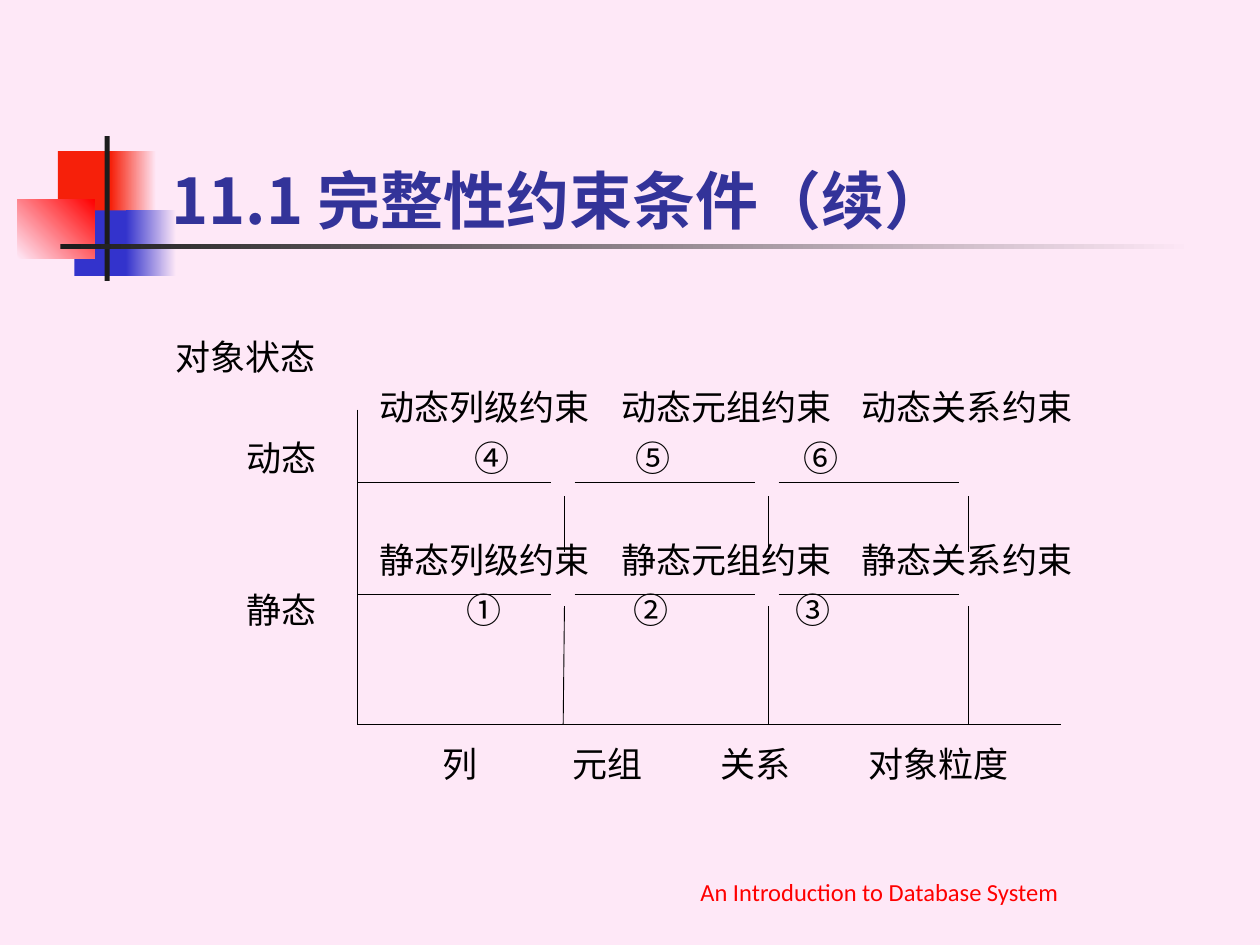
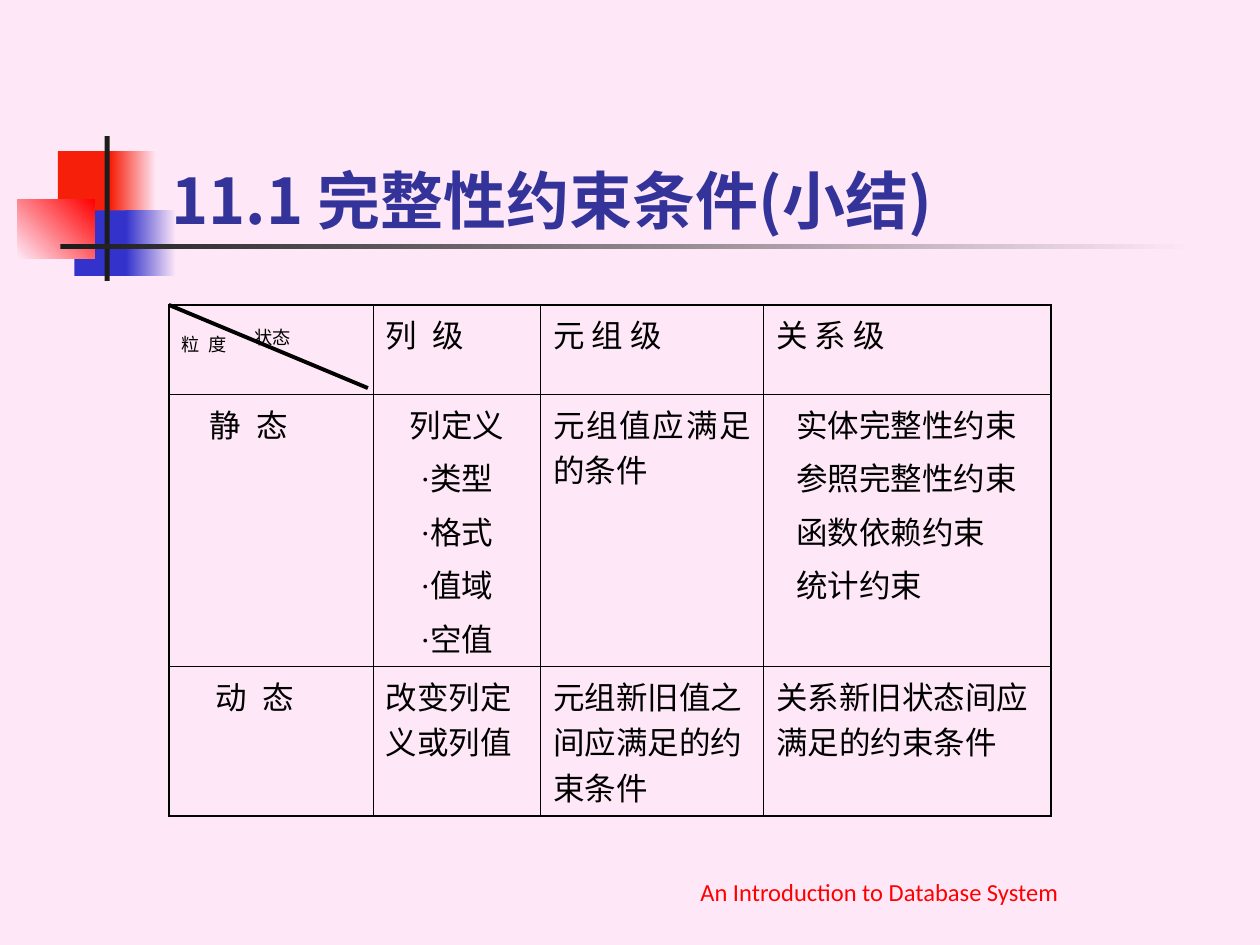
from dataclasses import dataclass
from typing import NamedTuple

from lxml.etree import SubElement as Sub
from pptx import Presentation
from pptx.dml.color import RGBColor as RGB
from pptx.enum.shapes import MSO_CONNECTOR as Conn, MSO_SHAPE as Kind
from pptx.enum.text import MSO_ANCHOR as Anchor, MSO_AUTO_SIZE as Auto, PP_ALIGN as Align
from pptx.oxml import parse_xml
from pptx.oxml.ns import nsdecls, qn
from pptx.util import Inches, Pt


@dataclass(frozen=True)
class Theme:
    """Colours, fonts and type sizes of the deck."""
    back: str = "FEE8F7"
    ink: str = "000000"
    dark: str = "1C1C1C"
    head: str = "333399"
    red: str = "F6200A"
    blue: str = "3333CC"
    pure: str = "FF0000"
    latin: str = "Karla"
    asian: str = "Noto Sans CJK SC"
    serif: str = "Times New Roman"
    foot: str = "Calibri"
    title_pt: float = 36
    body_pt: float = 20
    cell_pt: float = 18
    foot_pt: float = 14
    gap_pt: float = 4.5
    thin_pt: float = 0.5
    axis_pt: float = 0.75
    edge_pt: float = 1.08
    slash_pt: float = 2.25


T = Theme()


class Band(NamedTuple):
    """One block of the corner ornament; a second colour makes it fade."""
    box: tuple[float, float, float, float]
    start: str
    end: str = ""
    angle: float = 0


class Row(NamedTuple):
    """One line of the chart text, with tab stops and the gap above it."""
    text: str
    tabs: tuple[float, ...] = ()
    gap: float = 5


class Cell(NamedTuple):
    """Paragraphs of a table cell and how they are set."""
    lines: tuple[str, ...]
    align: Align = Align.LEFT
    indent: float = 0


BANDS = (
    Band((0.46, 1.2, 0.48, 0.52), T.red),
    Band((0.88, 1.2, 0.36, 0.52), T.red, T.back),
    Band((0.59, 1.67, 0.46, 0.52), T.blue),
    Band((1, 1.67, 0.4, 0.52), T.blue, T.back),
    Band((0.14, 1.58, 0.61, 0.47), T.back, T.pure, 45),
    Band((0.83, 1.08, 0.04, 1.15), T.dark),
    Band((0.48, 1.94, 9, 0.04), T.dark, T.back),
)

NAMES = (1.62, 3.54, 5.45)
ROWS = (
    Row("对象状态", gap=0),
    Row("\t动态列级约束\t动态元组约束\t动态关系约束", NAMES),
    Row("\t动态\t④\t⑤\t⑥", (0.57, 2.38, 3.65, 4.99)),
    Row("\t静态列级约束\t静态元组约束\t静态关系约束", NAMES, 34),
    Row("\t静态\t①\t②\t③", (0.57, 2.31, 3.64, 4.92)),
    Row("\t列\t元组\t关系\t对象粒度", (2.12, 3.15, 4.33, 5.5), 64),
)

COLS = (1.62, 1.33, 1.77, 2.28)
HIGHS = (0.71, 1.96, 1)
CELLS = (
    (Cell(("粒\u2002度\t状态",)), Cell(("列\u2002级",)),
     Cell(("元 组 级",)), Cell(("关 系 级",))),
    (Cell(("静\u2002态",), indent=0.22),
     Cell(("列定义", "·类型", "·格式", "·值域", "·空值"), Align.CENTER),
     Cell(("元组值应满足的条件",), Align.JUSTIFY),
     Cell(("实体完整性约束", "参照完整性约束", "函数依赖约束", "统计约束"), indent=0.16)),
    (Cell(("动\u2002态",), indent=0.27), Cell(("改变列定义或列值",)),
     Cell(("元组新旧值之间应满足的约束条件",)), Cell(("关系新旧状态间应满足的约束条件",))),
)


def style(para, size: float, color: str, latin: str, bold: bool = False) -> None:
    """Format every run of a paragraph."""
    for run in para.runs:
        font = run.font
        font.size, font.bold, font.name = Pt(size), bold, latin
        font.color.rgb = RGB.from_string(color)
        Sub(run._r.get_or_add_rPr(), qn("a:ea"), typeface=T.asian)


def set_tabs(para, stops: tuple[float, ...]) -> None:
    """Give a paragraph left tab stops, in inches from the text edge."""
    tabs = Sub(para._p.get_or_add_pPr(), qn("a:tabLst"))
    for stop in stops:
        Sub(tabs, qn("a:tab"), pos=str(Inches(stop)), algn="l")


def add_line(shapes, start: tuple[float, float], end: tuple[float, float], width: float) -> None:
    """Draw a straight black line without a shadow."""
    line = shapes.add_connector(Conn.STRAIGHT, *map(Inches, (*start, *end)))
    line.line.color.rgb = RGB.from_string(T.ink)
    line.line.width = Pt(width)
    Sub(line._element.spPr, qn("a:effectLst"))


def add_band(shapes, band: Band) -> None:
    """Draw one block of the corner ornament."""
    shape = shapes.add_shape(Kind.RECTANGLE, *map(Inches, band.box))
    shape.shadow.inherit = False
    shape.line.fill.background()
    fill = shape.fill
    if band.end:
        fill.gradient()
        fill.gradient_angle = band.angle
        for stop, color in zip(fill.gradient_stops, (band.start, band.end)):
            stop.color.rgb = RGB.from_string(color)
    else:
        fill.solid()
        fill.fore_color.rgb = RGB.from_string(band.start)


def add_foot(shapes) -> None:
    """Write the footer line."""
    box = shapes.add_textbox(*map(Inches, (4.37, 6.74, 5.22, 0.5)))
    frame = box.text_frame
    frame.word_wrap, frame.vertical_anchor = True, Anchor.BOTTOM
    frame.text = "An Introduction to Database System"
    para = frame.paragraphs[0]
    para.alignment = Align.CENTER
    style(para, T.foot_pt, T.pure, T.foot)


def add_page(deck, text: str):
    """Add a slide with ornament, footer and title."""
    slide = deck.slides.add_slide(deck.slide_layouts[5])
    for band in BANDS:
        add_band(slide.shapes, band)
    add_foot(slide.shapes)
    title = slide.shapes.title
    title.left, title.top, title.width, title.height = map(Inches, (1.26, 0.68, 8.52, 1.25))
    frame = title.text_frame
    frame.text = text
    frame.vertical_anchor, frame.auto_size = Anchor.BOTTOM, Auto.NONE
    para = frame.paragraphs[0]
    para.alignment = Align.LEFT
    style(para, T.title_pt, T.head, T.asian, True)
    slide.shapes._spTree.append(title._element)  # the title lies over the ornament
    return slide


def add_rows(shapes) -> None:
    """Write the chart labels as one tabbed text."""
    box = shapes.add_textbox(*map(Inches, (1.39, 2.66, 7.5, 3.7)))
    frame = box.text_frame
    frame.word_wrap = True
    frame.margin_left = frame.margin_right = frame.margin_top = frame.margin_bottom = 0
    frame.text = "\n".join(row.text for row in ROWS)
    for para, row in zip(frame.paragraphs, ROWS):
        para.space_before = Pt(row.gap)
        set_tabs(para, row.tabs)
        style(para, T.body_pt, T.ink, T.latin)


def add_grid(shapes) -> None:
    """Draw the axes and the broken grid lines as a group."""
    group = shapes.add_group_shape().shapes
    left, base = 2.84, 5.75
    for y in (3.83, 4.72):
        for start, end in ((left, 4.37), (4.56, 5.99), (6.18, 7.61)):
            add_line(group, (start, y), (end, y), T.thin_pt)
    for x, foot in ((4.48, 4.47), (6.1, 6.1), (7.69, 7.69)):
        add_line(group, (x, 3.94), (x, 4.38), T.thin_pt)
        add_line(group, (x, 4.81), (foot, base), T.thin_pt)
    add_line(group, (left, base), (8.42, base), T.axis_pt)
    add_line(group, (left, 3.25), (left, base), T.axis_pt)


def set_edges(cell, row: int, col: int) -> None:
    """Rule a cell: heavier on the outside of the table."""
    outer = {"L": col == 0, "R": col == len(COLS) - 1,
             "T": row == 0, "B": row == len(HIGHS) - 1}
    props = cell._tc.get_or_add_tcPr()
    for spot, (side, heavy) in enumerate(outer.items()):
        width = Pt(T.edge_pt if heavy else T.thin_pt)
        props.insert(spot, parse_xml(
            f'<a:ln{side} {nsdecls("a")} w="{width}"><a:solidFill>'
            f'<a:srgbClr val="{T.ink}"/></a:solidFill></a:ln{side}>'))


def fill_cell(cell, data: Cell) -> None:
    """Write and format the text of one table cell."""
    cell.fill.background()
    frame = cell.text_frame
    frame.text = "\n".join(data.lines)
    for para in frame.paragraphs:
        para.alignment = data.align
        para.space_before = Pt(T.gap_pt)
        if data.indent:
            para._p.get_or_add_pPr().set("marL", str(Inches(data.indent)))
        style(para, T.cell_pt, T.ink, T.serif if para.text.startswith("·") else T.latin)


def split_head(cell) -> None:
    """Set the two labels of the corner cell below and above the slash."""
    para = cell.text_frame.paragraphs[0]
    low, high = para.text.split("\t")
    para.text = low + "\t"
    para.add_run().text = high
    set_tabs(para, (0.58,))
    style(para, T.cell_pt, T.ink, T.latin)
    for run, shift in zip(para.runs, (-12000, 10000)):
        run._r.get_or_add_rPr().set("baseline", str(shift))


def add_sums(shapes) -> None:
    """Build the summary table with its slashed corner."""
    left, top = 1.34, 2.42
    size = (left, top, sum(COLS), sum(HIGHS))
    table = shapes.add_table(len(HIGHS), len(COLS), *map(Inches, size)).table
    table.first_row = table.horz_banding = False
    for col, width in zip(table.columns, COLS):
        col.width = Inches(width)
    for row, high in zip(table.rows, HIGHS):
        row.height = Inches(high)
    for i, line in enumerate(CELLS):
        for j, data in enumerate(line):
            fill_cell(table.cell(i, j), data)
            set_edges(table.cell(i, j), i, j)
    split_head(table.cell(0, 0))
    add_line(shapes, (left, top), (2.92, 3.08), T.slash_pt)


def main() -> None:
    """Build and save the deck."""
    deck = Presentation()
    deck.slide_width, deck.slide_height = Inches(10), Inches(7.5)
    back = deck.slide_master.background.fill
    back.solid()
    back.fore_color.rgb = RGB.from_string(T.back)
    chart = add_page(deck, "11.1 完整性约束条件（续）")
    add_rows(chart.shapes)
    add_grid(chart.shapes)
    sums = add_page(deck, "11.1 完整性约束条件(小结)")
    add_sums(sums.shapes)
    deck.save("out.pptx")


main()
